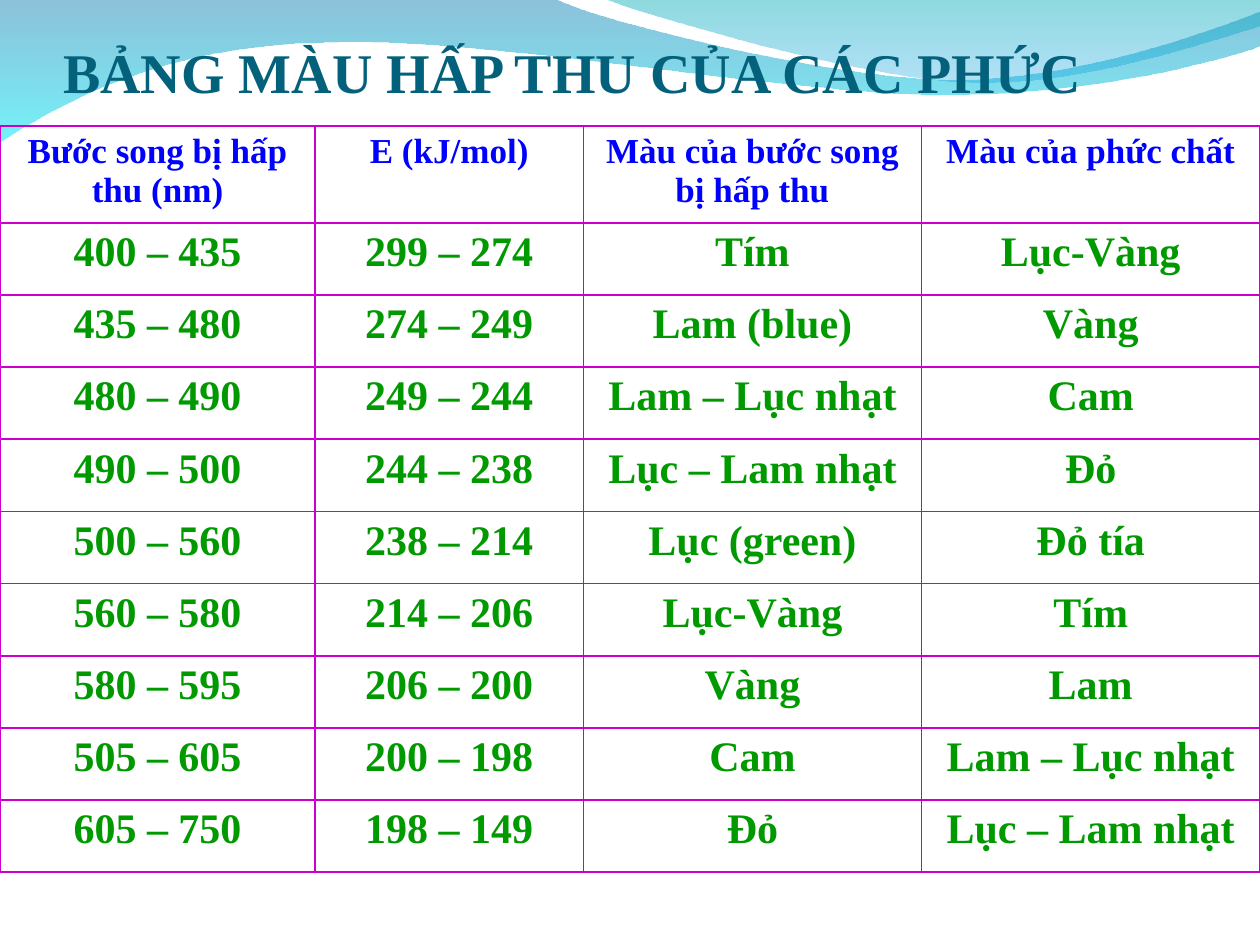
from lxml.etree import SubElement
from pptx import Presentation
from pptx.dml.color import RGBColor
from pptx.enum.text import MSO_ANCHOR, MSO_AUTO_SIZE, PP_ALIGN
from pptx.oxml.ns import qn
from pptx.util import Pt

HUES = {
    "title": "04617B", "head": "0000FF", "body": "009900", "rule": "CC00CC",
    "deep": "0079AF", "cyan": "00EBF8", "teal": "00ADB6", "sky": "009BE5",
}
FONT = "Times New Roman"

# Each step of an outline is one point (line) or three points (curve)
BAND = [
    [(0.7, 0)], [(317.5, 0)],
    [(343.4, 13), (478.8, 46), (546.5, 46)],
    [(614.9, 46), (690.5, 19.4), (720.7, 7.2)],
    [(721.4, 26.6)],
    [(708.5, 32.4), (627.1, 55.4), (537.8, 54.7)],
    [(448.5, 54.7), (275.7, 21), (185.7, 25.2)],
    [(93.6, 26), (33.8, 60.5), (0, 82)],
    [(0.7, 0)],
]
CREST = [
    [(0, 0)],
    [(21.6, 8.6), (146.1, 45.4), (208.8, 47.5)],
    [(271.4, 50.4), (347, 23.7), (375.1, 15.8)],
    [(375.1, 0.7)], [(0, 0)],
]

HEAD = ["Bước song bị hấp thu (nm)", "E (kJ/mol)",
        "Màu của bước song bị hấp thu", "Màu của phức chất"]
ROWS = [
    ["400 – 435", "299 – 274", "Tím", "Lục-Vàng"],
    ["435 – 480", "274 – 249", "Lam (blue)", "Vàng"],
    ["480 – 490", "249 – 244", "Lam – Lục nhạt", "Cam"],
    ["490 – 500", "244 – 238", "Lục – Lam nhạt", "Đỏ"],
    ["500 – 560", "238 – 214", "Lục (green)", "Đỏ tía"],
    ["560 – 580", "214 – 206", "Lục-Vàng", "Tím"],
    ["580 – 595", "206 – 200", "Vàng", "Lam"],
    ["505 – 605", "200 – 198", "Cam", "Lam – Lục nhạt"],
    ["605 – 750", "198 – 149", "Đỏ", "Lục – Lam nhạt"],
]


def put(frame, text, size, hue, align):
    frame.text = text
    line = frame.paragraphs[0]
    line.alignment = align
    font = line.runs[0].font
    font.name, font.size, font.bold = FONT, Pt(size), True
    font.color.rgb = RGBColor.from_string(HUES[hue])


def bend(shape, steps):
    """Join each run of three line points into one curve."""
    lines = iter(list(shape._element.iter(qn("a:lnTo"))))
    for step in steps[1:]:
        parts = [next(lines) for _ in step]
        if len(parts) == 3:
            arc = parts[0].makeelement(qn("a:cubicBezTo"), {})
            parts[0].addprevious(arc)
            for part in parts:
                arc.append(part[0])
                part.getparent().remove(part)


def wave(slide, box, steps, stops):
    left, top = box
    dots = [(Pt(left + x), Pt(top + y)) for step in steps for x, y in step]
    pen = slide.shapes.build_freeform(*dots[0])
    pen.add_line_segments(dots[1:], close=True)
    shape = pen.convert_to_shape()
    bend(shape, steps)
    shape.shadow.inherit = False
    shape.line.fill.background()
    shape.fill.gradient()
    shape.fill.gradient_angle = 270
    for stop, (hue, _) in zip(shape.fill.gradient_stops, stops):
        stop.color.rgb = RGBColor.from_string(HUES[hue])
    # Opacity of each gradient stop
    tints = shape._element.spPr.iter(qn("a:srgbClr"))
    for tint, (_, share) in zip(tints, stops):
        SubElement(tint, qn("a:alpha"), val=str(share * 1000))
    # The waves belong to the master, behind the slide's own parts
    master = slide.slide_layout.slide_master
    master.shapes._spTree.append(shape._element)


def title(slide, box, text):
    shape = slide.shapes.title
    shape.left, shape.top, shape.width, shape.height = map(Pt, box)
    frame = shape.text_frame
    frame.word_wrap = True
    frame.auto_size = MSO_AUTO_SIZE.NONE
    frame.vertical_anchor = MSO_ANCHOR.BOTTOM
    frame.margin_left = frame.margin_right = frame.margin_bottom = 0
    frame.margin_top = Pt(3.6)
    put(frame, text, size=32, hue="title", align=PP_ALIGN.LEFT)


def edge(cell):
    props = cell._tc.get_or_add_tcPr()
    for i, side in enumerate(("lnL", "lnR", "lnT", "lnB")):
        line = props.makeelement(qn("a:" + side), {"w": str(Pt(1.08))})
        fill = SubElement(line, qn("a:solidFill"))
        SubElement(fill, qn("a:srgbClr"), val=HUES["rule"])
        props.insert(i, line)


def table(slide, box, wide, high):
    data = [HEAD] + ROWS
    grid = slide.shapes.add_table(len(data), len(HEAD), *map(Pt, box)).table
    grid.first_row = grid.horz_banding = False
    for col, width in zip(grid.columns, wide):
        col.width = Pt(width)
    for i, (row, texts) in enumerate(zip(grid.rows, data)):
        row.height = Pt(high[1] if i else high[0])
        size, hue = (24, "body") if i else (20, "head")
        for cell, text in zip(row.cells, texts):
            cell.fill.background()
            put(cell.text_frame, text, size=size, hue=hue,
                align=PP_ALIGN.CENTER)
            edge(cell)


def main():
    deck = Presentation()
    deck.slide_width, deck.slide_height = Pt(720), Pt(540)
    slide = deck.slides.add_slide(deck.slide_layouts[5])
    # Waves along the top
    wave(slide, (-0.7, -0.7), BAND, [("deep", 45), ("cyan", 55)])
    wave(slide, (344.9, -0.7), CREST, [("teal", 45), ("sky", 30)])
    # Heading and colour table
    title(slide, (36, 12, 648, 48), "BẢNG MÀU HẤP THU CỦA CÁC PHỨC")
    table(slide, (0, 72, 720, 426.47), wide=(180, 153.4, 193.2, 193.4),
          high=(55.4, 41.23))
    deck.save("out.pptx")


if __name__ == "__main__":
    main()
